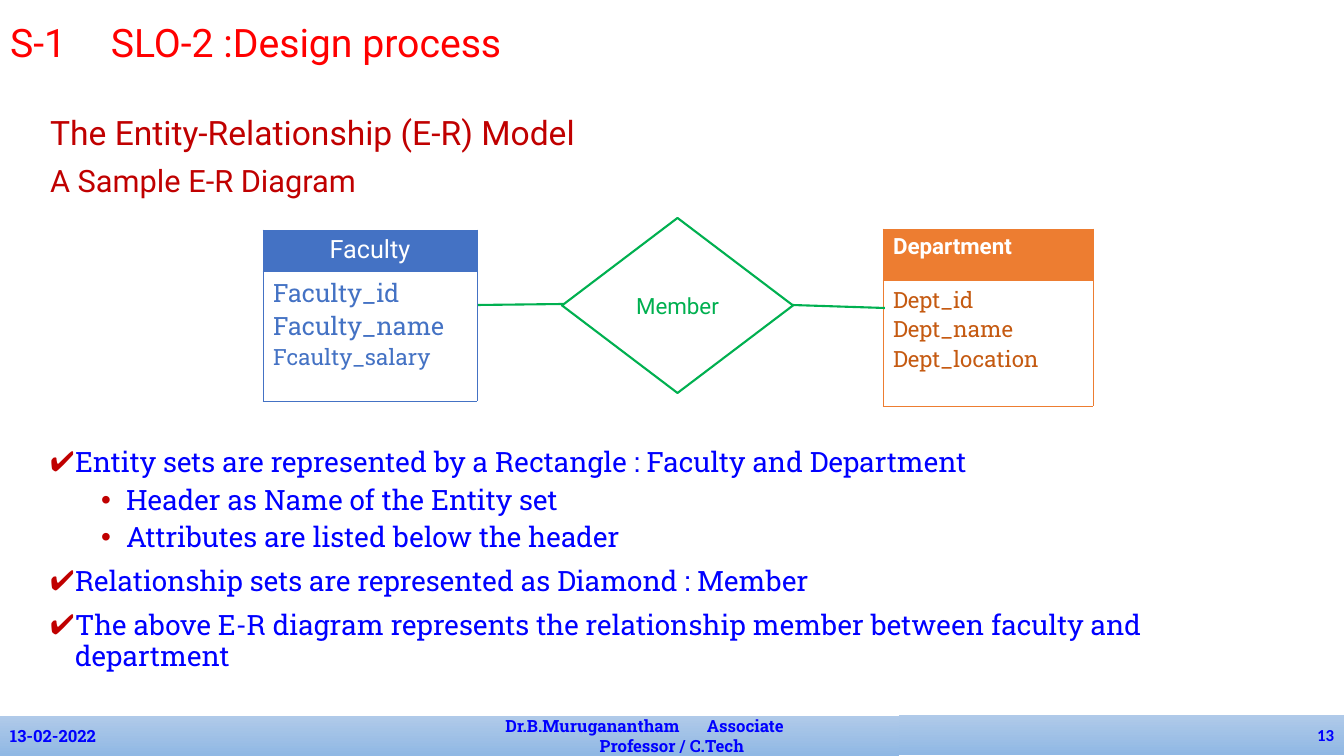
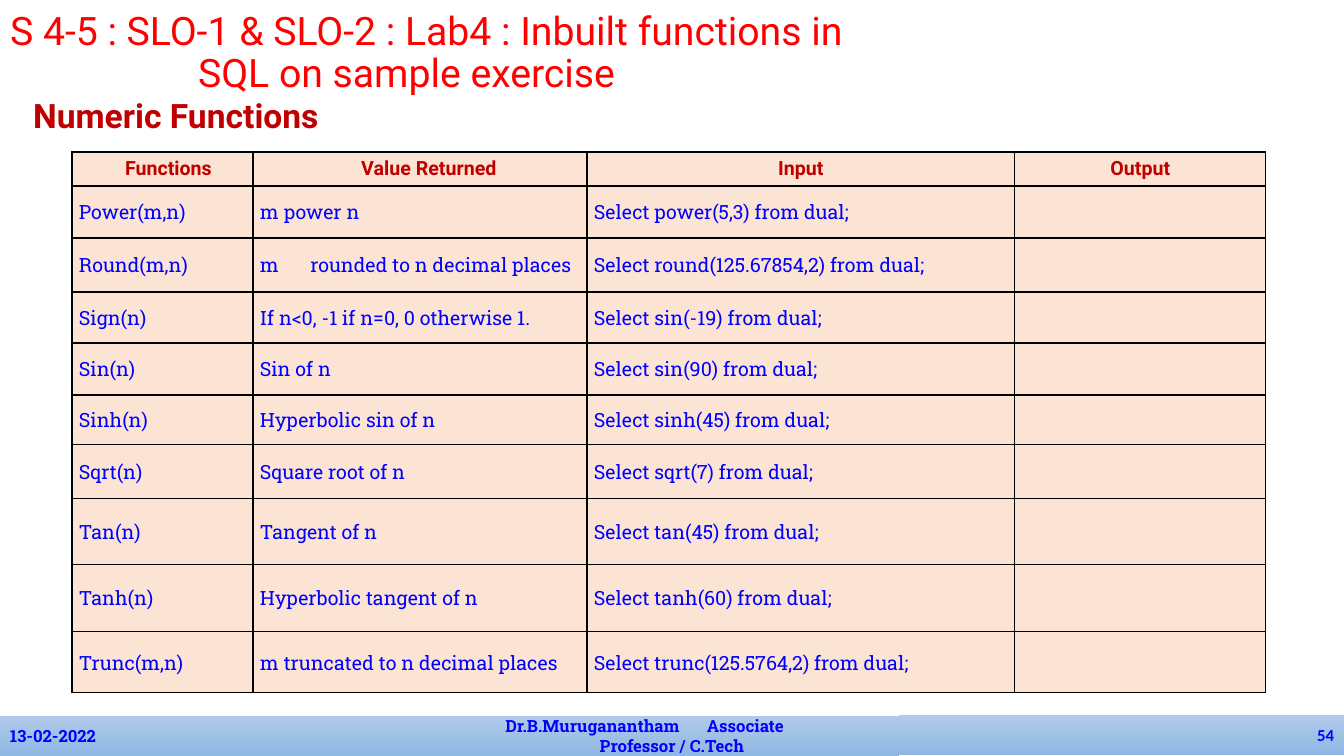
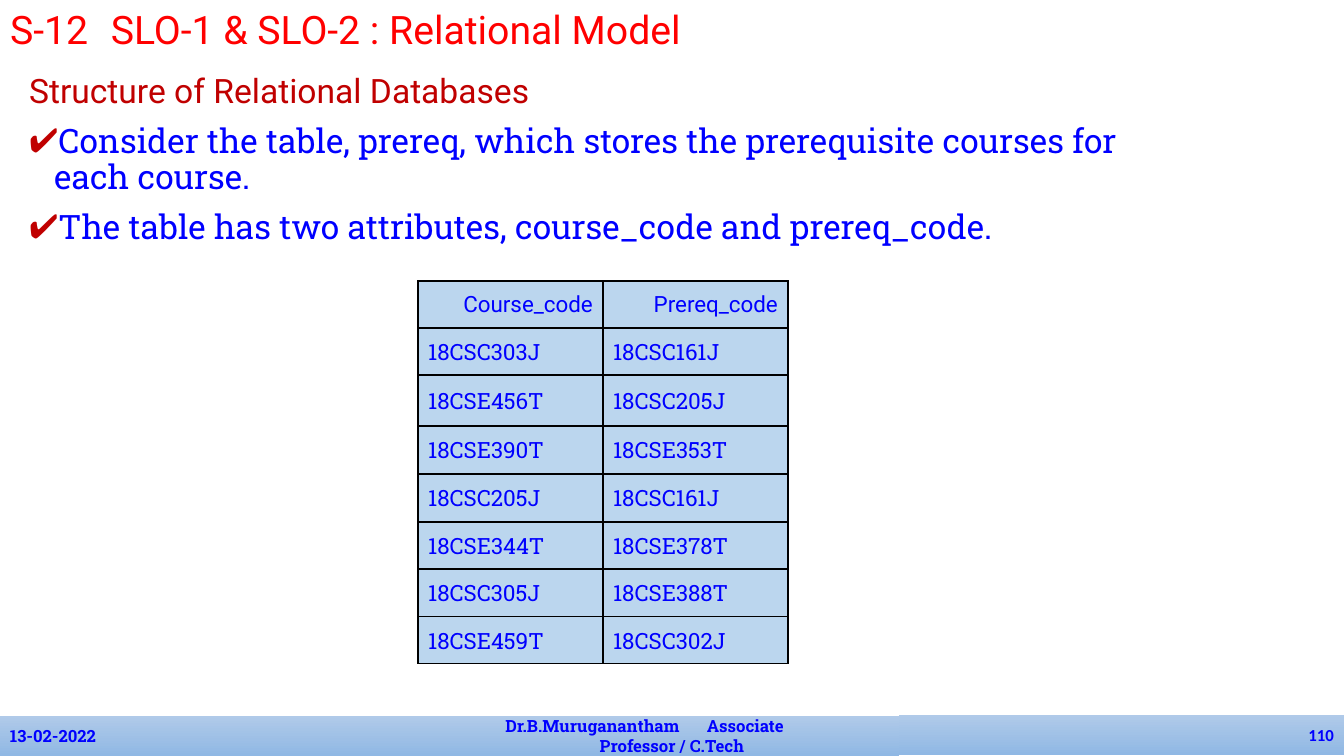
from itertools import accumulate

from lxml import etree
from pptx import Presentation
from pptx.dml.color import RGBColor
from pptx.enum.shapes import MSO_CONNECTOR, MSO_SHAPE
from pptx.enum.text import MSO_ANCHOR, MSO_AUTO_SIZE, PP_ALIGN
from pptx.oxml.ns import qn
from pptx.util import Pt

LEFT, CENTER, RIGHT = PP_ALIGN.LEFT, PP_ALIGN.CENTER, PP_ALIGN.RIGHT
TOP, MIDDLE = MSO_ANCHOR.TOP, MSO_ANCHOR.MIDDLE

RED = RGBColor(0xFF, 0x00, 0x00)
DARK_RED = RGBColor(0xC0, 0x00, 0x00)
BLUE = RGBColor(0x00, 0x00, 0xFF)
WHITE = RGBColor(0xFF, 0xFF, 0xFF)
BLACK = RGBColor(0x00, 0x00, 0x00)
GREEN = RGBColor(0x00, 0xB0, 0x50)
FACULTY_BLUE = RGBColor(0x44, 0x72, 0xC4)
DEPT_ORANGE = RGBColor(0xED, 0x7D, 0x31)
DEPT_BROWN = RGBColor(0xC5, 0x5A, 0x11)
PEACH = RGBColor(0xFB, 0xE4, 0xD4)
PALE_BLUE = RGBColor(0xBB, 0xD6, 0xEE)
BAND_TOP = RGBColor(0xB0, 0xCA, 0xE9)
BAND_BOTTOM = RGBColor(0x90, 0xB8, 0xE4)

SANS, SLAB, NUMERALS = "Roboto", "Roboto Slab", "Calibri"
SLIDE_W, SLIDE_H = 1344, 756
EMU_PER_PX = 12192000 / SLIDE_W

# Paragraph styles
TITLE = dict(font=SANS, size=28, color=RED, spacing=0.9)
HEADING = dict(font=SANS, size=24, color=DARK_RED, spacing=0.9)
SUBHEADING = dict(HEADING, size=22, before=10)
CHECK = dict(font=SLAB, size=20, color=BLUE, spacing=0.9, before=10,
             bullet="✔", margin=25, hang=25)
DOT = dict(CHECK, before=5, bullet="•", margin=76)
BIG_CHECK = dict(CHECK, size=24)
FOOTER = dict(font=SLAB, size=12, color=BLUE, bold=True)

# Slide content
ER_SLIDE = dict(
    number="13",
    title=[("S-1\tSLO-2 :Design process", dict(tabs=[111]))],
    title_box=(0, 19, 1159, 51),
    body_box=(40, 111, 1159, 592),
    body=[
        ("The Entity-Relationship (E-R) Model", HEADING),
        ("A Sample E-R Diagram", SUBHEADING),
        ("Entity sets are represented by a Rectangle : Faculty and Department",
         dict(CHECK, before=178)),
        ("Header as Name of the Entity set", DOT),
        ("Attributes are listed below the header", DOT),
        ("Relationship sets are represented as Diamond : Member", CHECK),
        ("The above E-R diagram represents the relationship member between "
         "faculty and department", CHECK),
    ],
)
ENTITIES = [
    dict(origin=(263, 230), width=214, heights=[41, 130], accent=FACULTY_BLUE,
         name=("Faculty", dict(size=18, align=CENTER)),
         attributes=[("Faculty_id", dict(size=18)), ("Faculty_name", dict(size=18)),
                     ("Fcaulty_salary", {})],
         ink=FACULTY_BLUE),
    dict(origin=(883, 229), width=210, heights=[51, 126], accent=DEPT_ORANGE,
         name=("Department", dict(bold=True)),
         attributes=["Dept_id", "Dept_name", "Dept_location"],
         ink=DEPT_BROWN),
]
DIAMOND = (562, 218, 231, 175)
LINKS = [(564, 304, 478, 305), (885, 308, 792, 305)]

FUNCTION_SLIDE = dict(
    number="54",
    title=["S 4-5 : SLO-1 & SLO-2 : Lab4 : Inbuilt functions in",
           ("SQL on sample exercise", dict(margin=188))],
    title_box=(0, 12, 1159, 84),
    body_box=(23, 94, 1159, 480),
    body=[("Numeric Functions", dict(HEADING, bold=True))],
)
FUNCTION_HEADER = [("Functions", dict(margin=53)),
                   ("Value Returned", dict(margin=18, align=CENTER)),
                   ("Input", dict(align=CENTER)),
                   ("Output", dict(align=CENTER))]
FUNCTIONS = [
    ("Power(m,n)", "m power n", "Select power(5,3) from dual;"),
    ("Round(m,n)", "m\trounded to n decimal places", "Select round(125.67854,2) from dual;"),
    ("Sign(n)", "If n<0, -1 if n=0, 0 otherwise 1.", "Select sin(-19) from dual;"),
    ("Sin(n)", "Sin of n", "Select sin(90) from dual;"),
    ("Sinh(n)", "Hyperbolic sin of n", "Select sinh(45) from dual;"),
    ("Sqrt(n)", "Square root of n", "Select sqrt(7) from dual;"),
    ("Tan(n)", "Tangent of n", "Select tan(45) from dual;"),
    ("Tanh(n)", "Hyperbolic tangent of n", "Select tanh(60) from dual;"),
    ("Trunc(m,n)", "m truncated to n decimal places", "Select trunc(125.5764,2) from dual;"),
]
FUNCTION_COLUMNS = [181, 334, 428, 251]
FUNCTION_ROWS = [34, 52, 54, 51, 52, 50, 54, 66, 67, 61]

RELATION_SLIDE = dict(
    number="110",
    title=[("S-12\tSLO-1 & SLO-2 : Relational Model", dict(tabs=[101]))],
    title_box=(0, 3, 1230, 58),
    body_box=(19, 69, 1159, 480),
    body=[
        ("Structure of Relational Databases", HEADING),
        ("Consider the table, prereq, which stores the prerequisite courses "
         "for each course.", BIG_CHECK),
        ("The table has two attributes, course_code and prereq_code.", BIG_CHECK),
    ],
)
PREREQ_HEADER = ("Course_code", "Prereq_code")
PREREQS = [
    ("18CSC303J", "18CSC161J"),
    ("18CSE456T", "18CSC205J"),
    ("18CSE390T", "18CSE353T"),
    ("18CSC205J", "18CSC161J"),
    ("18CSE344T", "18CSE378T"),
    ("18CSC305J", "18CSE388T"),
    ("18CSE459T", "18CSC302J"),
]
PREREQ_ROWS = [47, 47, 51, 48, 48, 47, 48, 47]

BAND_WIDTHS = [445, 454, 445]
BAND_TOPS = [716, 716, 715]
BAND_H = 40


def px(*lengths):
    return [round(length * EMU_PER_PX) for length in lengths]


def add_xml(parent, tag, **attributes):
    return etree.SubElement(parent, qn(tag), attributes)


def format_paragraph(para, margin=0, hang=0, bullet=None, tabs=(), align=LEFT,
                     spacing=None, before=0):
    properties = para._p.get_or_add_pPr()
    properties.set("marL", str(px(margin)[0]))
    properties.set("indent", str(px(-hang)[0]))
    if bullet:
        add_xml(add_xml(properties, "a:buClr"), "a:srgbClr", val=str(DARK_RED))
        add_xml(properties, "a:buChar", char=bullet)
    else:
        add_xml(properties, "a:buNone")
    if tabs:
        stops = add_xml(properties, "a:tabLst")
        for stop in px(*tabs):
            add_xml(stops, "a:tab", pos=str(stop), algn="l")
    para.alignment = align
    para.space_before = Pt(before)
    if spacing:
        para.line_spacing = spacing


def write(frame, lines, **shared):
    """Each line is a string, or a (string, format) pair that overrides the shared format."""
    for index, line in enumerate(lines):
        text, own = (line, {}) if isinstance(line, str) else line
        style = {**shared, **own}
        para = frame.paragraphs[0] if index == 0 else frame.add_paragraph()
        span = para.add_run()
        span.text = text
        span.font.name = style.pop("font")
        span.font.size = Pt(style.pop("size"))
        span.font.color.rgb = style.pop("color")
        span.font.bold = style.pop("bold", False)
        format_paragraph(para, **style)


def place(shape, box):
    shape.left, shape.top, shape.width, shape.height = px(*box)


def fill_placeholder(shape, box, lines, anchor, **style):
    place(shape, box)
    frame = shape.text_frame
    frame.auto_size = MSO_AUTO_SIZE.NONE
    frame.word_wrap = True
    frame.vertical_anchor = anchor
    write(frame, lines, **style)


def add_box(slide, kind, box):
    shape = slide.shapes.add_shape(kind, *px(*box))
    shape.shadow.inherit = False
    shape.text_frame.word_wrap = True
    shape.text_frame.vertical_anchor = MIDDLE
    return shape


def add_footer(slide, number):
    bands = [
        [("13-02-2022", {})],
        [("\tDr.B.Muruganantham\tAssociate", dict(tabs=[18, 337])),
         ("Professor / C.Tech", dict(align=CENTER))],
        [(number, dict(font=NUMERALS, align=RIGHT))],
    ]
    lefts = accumulate(BAND_WIDTHS, initial=0)
    for left, top, width, lines in zip(lefts, BAND_TOPS, BAND_WIDTHS, bands):
        band = add_box(slide, MSO_SHAPE.RECTANGLE, (left, top, width, BAND_H))
        band.line.fill.background()
        band.fill.gradient()
        band.fill.gradient_angle = 270
        for stop, color in zip(band.fill.gradient_stops, (BAND_TOP, BAND_BOTTOM)):
            stop.color.rgb = color
        write(band.text_frame, lines, **FOOTER)


def add_slide(deck, content):
    slide = deck.slides.add_slide(deck.slide_layouts[1])
    title, body = slide.placeholders
    fill_placeholder(title, content["title_box"], content["title"], MIDDLE, **TITLE)
    fill_placeholder(body, content["body_box"], content["body"], TOP)
    add_footer(slide, content["number"])
    return slide


def add_grid(slide, origin, widths, heights):
    shape = slide.shapes.add_table(
        len(heights), len(widths), *px(*origin, sum(widths), sum(heights)))
    table = shape.table
    table.first_row = table.horz_banding = False
    for column, width in zip(table.columns, px(*widths)):
        column.width = width
    for row, height in zip(table.rows, px(*heights)):
        row.height = height
    return table


def style_cell(cell, fill, border, weight, anchor=MIDDLE, inset=None):
    cell.vertical_anchor = anchor
    if inset is not None:
        cell.margin_left = cell.margin_right = cell.margin_top = cell.margin_bottom = inset
    properties = cell._tc.get_or_add_tcPr()
    for side in ("a:lnL", "a:lnR", "a:lnT", "a:lnB"):
        line = add_xml(properties, side, w=str(Pt(weight)))
        add_xml(add_xml(line, "a:solidFill"), "a:srgbClr", val=str(border))
    cell.fill.solid()
    cell.fill.fore_color.rgb = fill


def add_entity(slide, origin, width, heights, accent, name, attributes, ink):
    table = add_grid(slide, origin, [width], heights)
    head, listing = table.cell(0, 0), table.cell(1, 0)
    for cell, fill in ((head, accent), (listing, WHITE)):
        style_cell(cell, fill, accent, 0.75, anchor=TOP)
    write(head.text_frame, [name], font=SANS, size=16, color=WHITE)
    write(listing.text_frame, attributes, font=SLAB, size=16, color=ink)


def add_er_diagram(slide):
    for entity in ENTITIES:
        add_entity(slide, **entity)
    diamond = add_box(slide, MSO_SHAPE.DIAMOND, DIAMOND)
    diamond.fill.solid()
    diamond.fill.fore_color.rgb = WHITE
    diamond.line.color.rgb = GREEN
    diamond.line.width = Pt(1.5)
    write(diamond.text_frame, ["Member"], font=SANS, size=16, color=GREEN, align=CENTER)
    for ends in LINKS:
        link = slide.shapes.add_connector(MSO_CONNECTOR.STRAIGHT, *px(*ends))
        link.line.color.rgb = GREEN
        link.line.width = Pt(1.5)
        add_xml(link._element.spPr, "a:effectLst")


def add_data_table(slide, origin, widths, heights, header, rows, fill, head_style,
                   row_style, inset=None):
    table = add_grid(slide, origin, widths, heights)
    for cell in table.iter_cells():
        style_cell(cell, fill, BLACK, 1, inset=inset)
    for r, texts in enumerate([header, *rows]):
        for c, text in enumerate(texts):
            write(table.cell(r, c).text_frame, [text], **(row_style if r else head_style))


def main():
    deck = Presentation()
    deck.slide_width, deck.slide_height = px(SLIDE_W, SLIDE_H)

    add_er_diagram(add_slide(deck, ER_SLIDE))
    add_data_table(
        add_slide(deck, FUNCTION_SLIDE), (72, 152), FUNCTION_COLUMNS, FUNCTION_ROWS,
        FUNCTION_HEADER, FUNCTIONS, PEACH,
        dict(font=SANS, size=14, color=DARK_RED, bold=True),
        dict(font=SLAB, size=14, color=BLUE, margin=7), inset=0)
    add_data_table(
        add_slide(deck, RELATION_SLIDE), (418, 281), [185, 185], PREREQ_ROWS,
        PREREQ_HEADER, PREREQS, PALE_BLUE,
        dict(font=SANS, size=16, color=BLUE, align=RIGHT),
        dict(font=SLAB, size=16, color=BLUE))
    deck.save("out.pptx")


if __name__ == "__main__":
    main()
